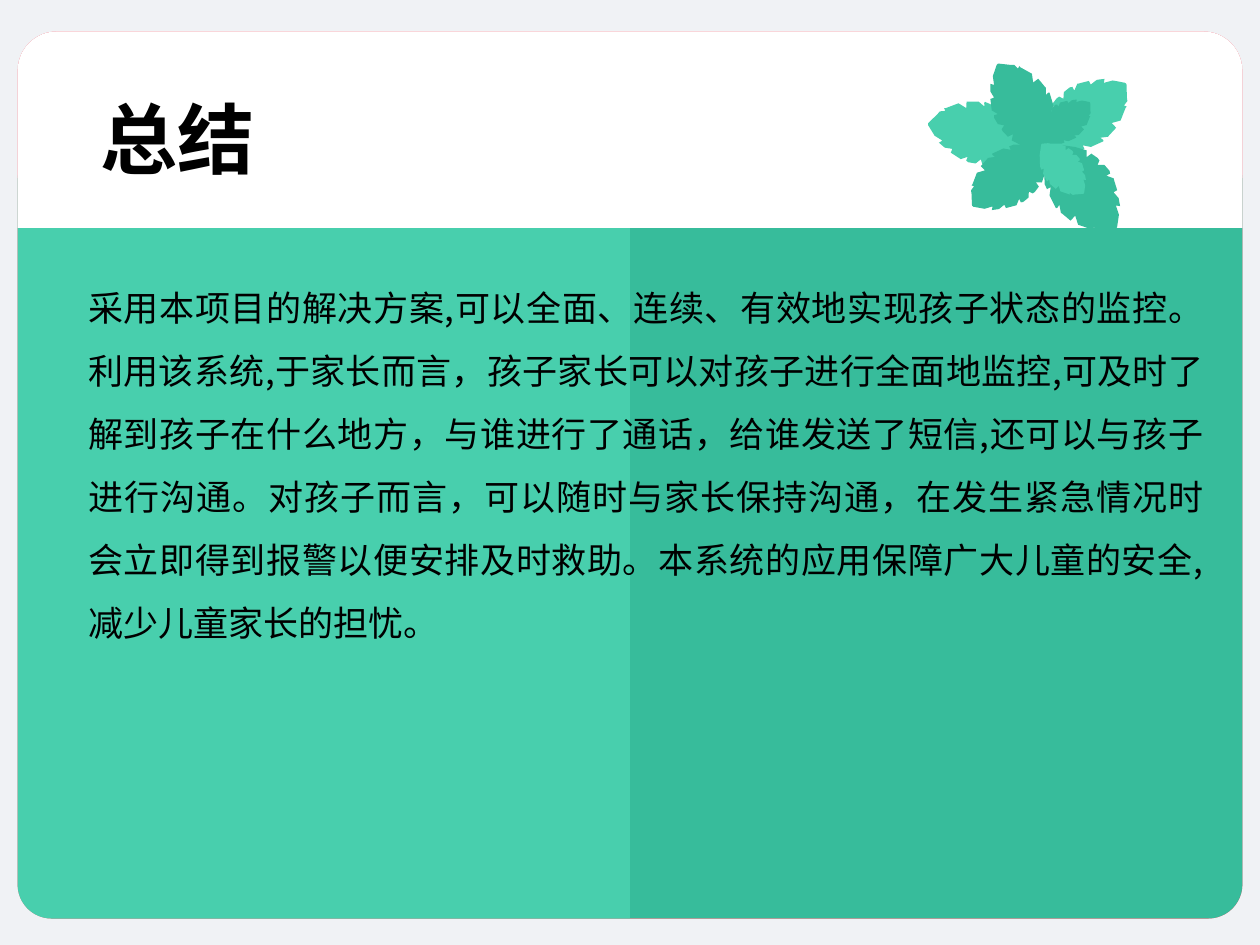
"""Build the summary slide: a two-tone card with a mint sprig."""
from dataclasses import dataclass

from lxml import etree
from pptx import Presentation
from pptx.dml.color import RGBColor
from pptx.enum.shapes import MSO_SHAPE
from pptx.enum.text import MSO_ANCHOR, MSO_AUTO_SIZE, PP_ALIGN
from pptx.oxml.ns import qn
from pptx.util import Inches, Pt

RECTANGLE = MSO_SHAPE.RECTANGLE
TOP_ROUNDED = MSO_SHAPE.ROUND_2_SAME_RECTANGLE
TOP = MSO_ANCHOR.TOP
FIT_SHAPE = MSO_AUTO_SIZE.SHAPE_TO_FIT_TEXT
LEFT, JUSTIFY = PP_ALIGN.LEFT, PP_ALIGN.JUSTIFY


@dataclass(frozen=True)
class Theme:
    """Colours, font and type sizes of the slide."""
    backdrop: str = "F0F2F5"
    card: str = "ED5565"
    header: str = "FFFFFF"
    light: str = "48CFAD"
    dark: str = "37BC9B"
    text: str = "000000"
    font: str = "Noto Sans CJK SC"
    title_size: int = 44
    body_size: int = 20


@dataclass(frozen=True)
class Panel:
    """A rectangle whose top and bottom corners may be rounded, in inches."""
    left: float
    top: float
    width: float
    height: float
    color: str
    top_radius: float = 0
    bottom_radius: float = 0
    rotation: float = 0


@dataclass(frozen=True)
class Leaf:
    """A leaf by centre and length in inches, and angle in degrees."""
    x: float
    y: float
    length: float
    angle: float
    color: str


@dataclass(frozen=True)
class TextStyle:
    """Place and format of a text placeholder."""
    left: float
    top: float
    width: float
    height: float
    size: int
    bold: bool
    align: PP_ALIGN
    line_spacing: float


THEME = Theme()
CARD_LEFT, CARD_TOP, CARD_WIDTH, CARD_HEIGHT = 0.14, 0.25, 9.72, 7.04
HALF_WIDTH, HALF_HEIGHT, HALF_TOP = CARD_WIDTH / 2, 6.13, 1.16
TURN_OFFSET = (HALF_WIDTH - HALF_HEIGHT) / 2
TOP_RADIUS, SIDE_RADIUS = 0.31, 0.27

PANELS = [
    Panel(0, 0, 10, 7.5, THEME.backdrop),
    Panel(CARD_LEFT, CARD_TOP, CARD_WIDTH, CARD_HEIGHT, THEME.card, TOP_RADIUS, SIDE_RADIUS),
    *(Panel(left + TURN_OFFSET, HALF_TOP - TURN_OFFSET, HALF_HEIGHT, HALF_WIDTH,
            color, SIDE_RADIUS, rotation=rotation)
      for left, color, rotation in ((CARD_LEFT, THEME.light, 270), (5, THEME.dark, 90))),
    Panel(CARD_LEFT, CARD_TOP, CARD_WIDTH, 1.56, THEME.header, TOP_RADIUS),
]

LEAF_LENGTH = 69
LEAF_OUTLINE = [
    (0, 20), (0, 16), (3, 17), (2, 10), (3, 7), (5, 1), (6, 0), (7, 0), (16, 1), (19, 1),
    (22, 4), (23, 2), (24, 3), (33, 8), (34, 15), (38, 12), (43, 18), (44, 19), (44, 25),
    (46, 23), (47, 23), (50, 33), (48, 39), (51, 38), (52, 42), (50.5, 56), (46, 68),
    (45, 69), (44, 69), (34, 68), (25, 65), (17, 61), (18, 56), (14, 58), (10, 54),
    (9, 52), (11, 49), (6, 48), (3, 43), (3, 41), (6, 40), (1, 37), (1, 36), (0, 28),
    (3, 27), (0, 22),
]
LEAVES = [
    Leaf(7.77, 1.05, 0.71, 310, THEME.light),
    Leaf(8.61, 0.92, 0.72, 82.6, THEME.light),
    Leaf(8.12, 0.85, 0.69, 0, THEME.dark),
    Leaf(8.01, 1.4, 0.65, 261.8, THEME.dark),
    Leaf(8.58, 1.49, 0.74, 169.7, THEME.dark),
    Leaf(8.43, 1.34, 0.45, 169.7, THEME.light),
    Leaf(8.45, 0.97, 0.44, 82.6, THEME.dark),
]

TITLE_STYLE = TextStyle(0.7, 0.68, 2.1, 0.84, THEME.title_size, True, LEFT, 1)
BODY_STYLE = TextStyle(0.6, 2.06, 9.05, 3.1, THEME.body_size, False, JUSTIFY, 1.5)
TITLE = "总结"
BODY = (
    "采用本项目的解决方案,可以全面、连续、有效地实现孩子状态的监控。"
    "利用该系统,于家长而言，孩子家长可以对孩子进行全面地监控,可及时了解到孩子在什么地方，"
    "与谁进行了通话，给谁发送了短信,还可以与孩子进行沟通。"
    "对孩子而言，可以随时与家长保持沟通，在发生紧急情况时会立即得到报警以便安排及时救助。"
    "本系统的应用保障广大儿童的安全,减少儿童家长的担忧。"
)


def paint(shape, color: str) -> None:
    """Give a shape a flat fill without line or shadow."""
    shape.shadow.inherit = False
    shape.fill.solid()
    shape.fill.fore_color.rgb = RGBColor.from_string(color)
    shape.line.fill.background()


def draw_panel(slide, panel: Panel) -> None:
    """Draw one panel, rounded where it has a radius."""
    kind = TOP_ROUNDED if panel.top_radius else RECTANGLE
    shape = slide.shapes.add_shape(kind, Inches(panel.left), Inches(panel.top),
                                   Inches(panel.width), Inches(panel.height))
    if panel.top_radius:
        short_side = min(panel.width, panel.height)
        shape.adjustments[0] = panel.top_radius / short_side
        shape.adjustments[1] = panel.bottom_radius / short_side
    shape.rotation = panel.rotation
    paint(shape, panel.color)


def draw_leaf(slide, leaf: Leaf) -> None:
    """Draw the leaf outline scaled and turned about its centre."""
    scale = Inches(leaf.length) / LEAF_LENGTH
    builder = slide.shapes.build_freeform(*LEAF_OUTLINE[0], scale=scale)
    builder.add_line_segments(LEAF_OUTLINE[1:], close=True)
    shape = builder.convert_to_shape()
    shape.left = Inches(leaf.x) - shape.width // 2
    shape.top = Inches(leaf.y) - shape.height // 2
    shape.rotation = leaf.angle
    paint(shape, leaf.color)


def write_text(box, text: str, style: TextStyle) -> None:
    """Fill a placeholder, format it and bring it to the front."""
    box.left, box.top = Inches(style.left), Inches(style.top)
    box.width, box.height = Inches(style.width), Inches(style.height)
    frame = box.text_frame
    frame.text = text
    frame.word_wrap = True
    frame.auto_size = FIT_SHAPE
    frame.vertical_anchor = TOP
    para = frame.paragraphs[0]
    para.alignment = style.align
    para.line_spacing = style.line_spacing
    para.space_before = Pt(0)
    properties = para._p.get_or_add_pPr()
    properties.set("marL", "0")
    properties.set("indent", "0")
    etree.SubElement(properties, qn("a:buNone"))
    span = para.runs[0]
    span.font.size = Pt(style.size)
    span.font.bold = style.bold
    span.font.color.rgb = RGBColor.from_string(THEME.text)
    span.font.name = THEME.font
    east_asian = etree.SubElement(span._r.get_or_add_rPr(), qn("a:ea"))
    east_asian.set("typeface", THEME.font)
    box.element.getparent().append(box.element)


def main() -> None:
    """Create the deck and save it."""
    deck = Presentation()
    deck.slide_width, deck.slide_height = Inches(10), Inches(7.5)
    page = deck.slides.add_slide(deck.slide_layouts[1])
    for panel in PANELS:
        draw_panel(page, panel)
    write_text(page.shapes.title, TITLE, TITLE_STYLE)
    for leaf in LEAVES:
        draw_leaf(page, leaf)
    write_text(page.placeholders[1], BODY, BODY_STYLE)
    deck.save("out.pptx")


if __name__ == "__main__":
    main()
